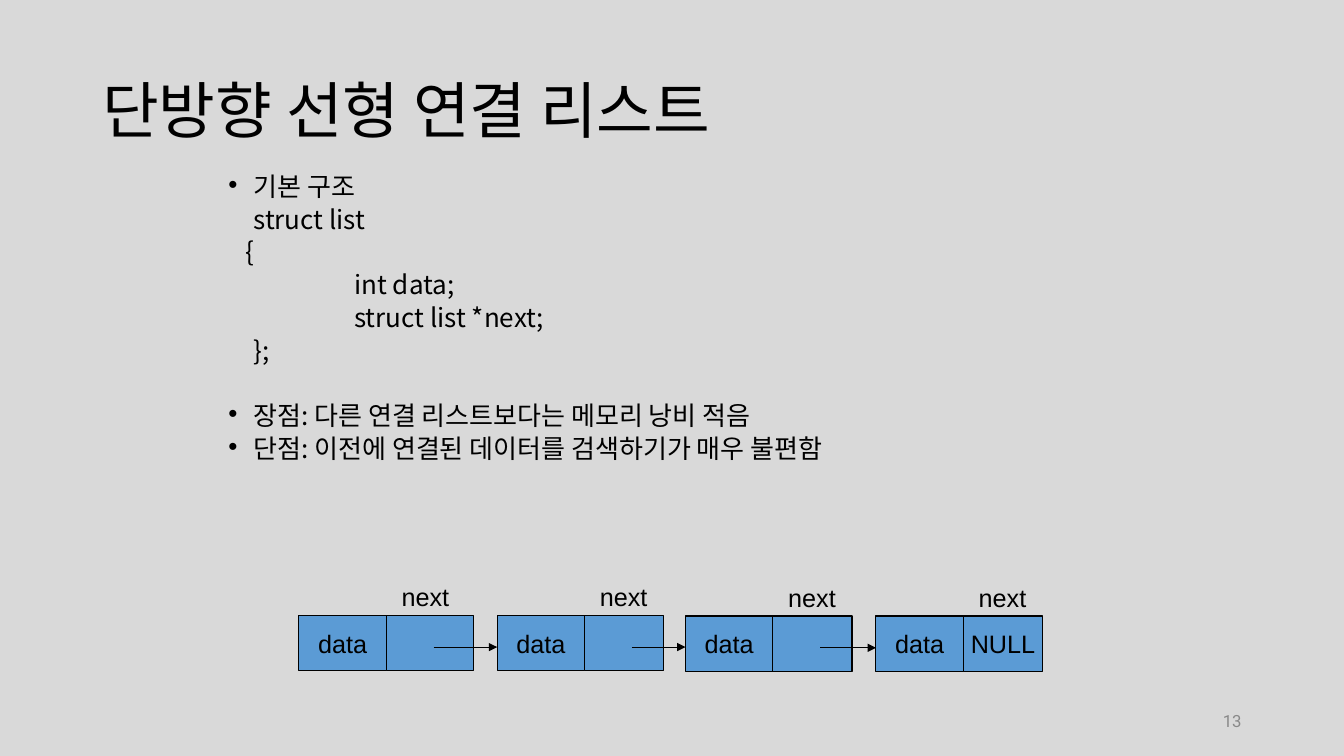
from itertools import pairwise
from lxml.etree import SubElement as Sub
from pptx import Presentation as Deck
from pptx.dml.color import RGBColor as Rgb
from pptx.enum.shapes import MSO_CONNECTOR as Wire, MSO_SHAPE as Form
from pptx.enum.text import MSO_ANCHOR as Anchor, PP_ALIGN as Align
from pptx.oxml.ns import qn
from pptx.util import Pt

INK = {"page": "D9D9D9", "cell": "5B9BD5", "text": "000000", "mute": "898989"}
HAN = "Noto Sans CJK KR"
STEP = 18
GAP = 10
LINE = 23.4
CELL = 62.4
TALL = 39.6


def tint(name):
    return Rgb.from_string(INK[name])


def write(frame, text, first=True, size=18, font="Arial", ink="text", align=Align.LEFT,
          anchor=Anchor.TOP, wrap=True, lead=None, above=0, left=0, mark=None):
    frame.word_wrap = wrap
    frame.vertical_anchor = anchor
    para = frame.paragraphs[0] if first else frame.add_paragraph()
    para.alignment = align
    para.space_before = Pt(above)
    if lead:
        para.line_spacing = lead
    run = para.add_run()
    run.text = text
    run.font.size = Pt(size)
    run.font.name = font
    run.font.color.rgb = tint(ink)
    props = para._p.get_or_add_pPr()
    props.set("marL", str(Pt(left)))
    props.set("indent", str(Pt(-STEP if mark else 0)))
    if mark:
        Sub(props, qn("a:buFont"), typeface="Arial")
        Sub(props, qn("a:buChar"), char=mark)
    else:
        Sub(props, qn("a:buNone"))


def frame_at(slide, x, y, w, h):
    return slide.shapes.add_textbox(Pt(x), Pt(y), Pt(w), Pt(h)).text_frame


def title(slide, x, y, w, h):
    write(frame_at(slide, x, y, w, h), "단방향 선형 연결 리스트", size=44, font=HAN,
          anchor=Anchor.MIDDLE, lead=0.9)


def body(slide, x, y, w, h):
    rows = [
        ("기본 구조", STEP, "•", 0),
        ("struct list", STEP, None, GAP),
        ("{", 12.4, None, GAP),
        ("int data;", 5 * STEP, None, GAP),
        ("struct list *next;", 5 * STEP, None, GAP),
        ("};", STEP, None, GAP),
        ("장점: 다른 연결 리스트보다는 메모리 낭비 적음", STEP, "•", GAP + LINE),
        ("단점: 이전에 연결된 데이터를 검색하기가 매우 불편함", STEP, "•", GAP),
    ]
    frame = frame_at(slide, x, y, w, h)
    for at, (text, left, mark, above) in enumerate(rows):
        write(frame, text, first=at == 0, size=18.6, font=HAN, lead=0.6,
              above=above, left=left, mark=mark)


def cell(slide, x, y, w, text=None):
    box = slide.shapes.add_shape(Form.RECTANGLE, Pt(x), Pt(y), Pt(w), Pt(TALL))
    box.shadow.inherit = False
    box.fill.solid()
    box.fill.fore_color.rgb = tint("cell")
    box.line.color.rgb = tint("text")
    box.line.width = Pt(0.75)
    if text:
        write(box.text_frame, text, align=Align.CENTER, anchor=Anchor.MIDDLE, wrap=False)


def arrow(slide, start, end, y):
    wire = slide.shapes.add_connector(Wire.STRAIGHT, Pt(start), Pt(y), Pt(end), Pt(y))
    wire.line.color.rgb = tint("text")
    wire.line.width = Pt(0.75)
    Sub(wire.line._get_or_add_ln(), qn("a:tailEnd"), type="triangle")
    Sub(wire._element.spPr, qn("a:effectLst"))


def chain(slide, x, y):
    nodes = [(0, 0, CELL, None), (141.6, 0, 56.6, None),
             (276.1, 0.5, 56.6, None), (412.2, 0.5, 56.6, "NULL")]
    top = y + 27.7
    for dx, dy, width, text in nodes:
        cell(slide, x + dx, top + dy, CELL, "data")
        cell(slide, x + dx + CELL, top + dy, width, text)
        write(frame_at(slide, x + dx + 66.3, y + dy, 49.7, 28.8), "next", wrap=False)
    for (dx, dy, *_), (end, *_) in pairwise(nodes):
        arrow(slide, x + dx + 96.2, x + end, top + dy + 22.7)


def foot(slide, x, y, w, h):
    write(frame_at(slide, x, y, w, h), "13", size=12, font="Roboto", ink="mute",
          align=Align.RIGHT, anchor=Anchor.MIDDLE)


deck = Deck()
deck.slide_width, deck.slide_height = Pt(960), Pt(540)
slide = deck.slides.add_slide(deck.slide_layouts[6])
slide.background.fill.solid()
slide.background.fill.fore_color.rgb = tint("page")
title(slide, 66, 28.75, 828, 104.4)
body(slide, 156, 126, 648, 211.5)
chain(slide, 213.5, 411.8)
foot(slide, 678, 500.5, 216, 28.75)
deck.save("out.pptx")
